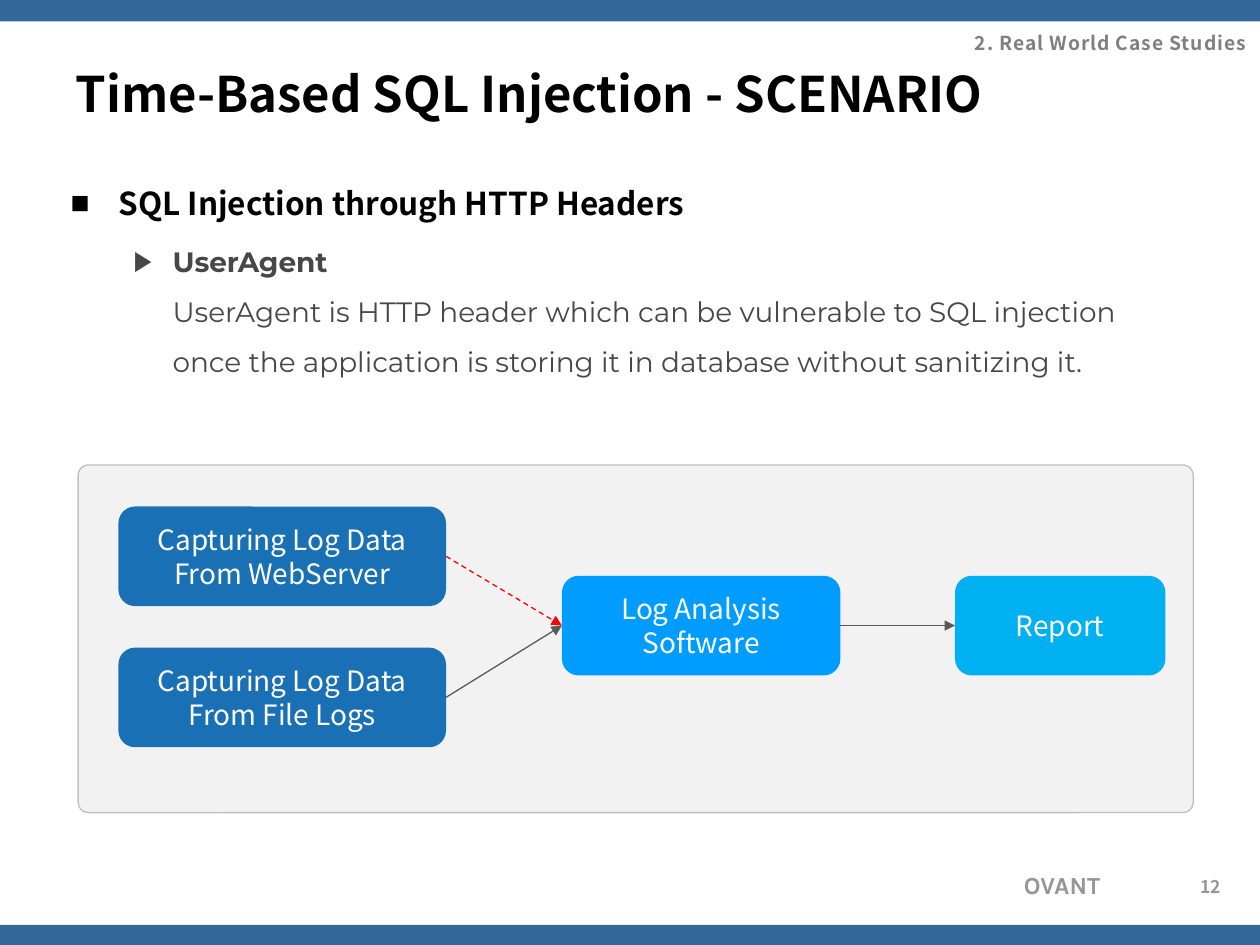
from dataclasses import dataclass

from lxml.etree import SubElement
from pptx import Presentation
from pptx.dml.color import RGBColor
from pptx.enum.dml import MSO_LINE_DASH_STYLE as Dash
from pptx.enum.shapes import MSO_CONNECTOR, MSO_SHAPE
from pptx.enum.text import MSO_ANCHOR, MSO_AUTO_SIZE, PP_ALIGN
from pptx.oxml.ns import qn
from pptx.util import Inches, Pt

SANS = "Noto Sans CJK KR"
BOX_HEIGHT = 0.79
LEFT_SITE, RIGHT_SITE = 1, 3


@dataclass(frozen=True)
class Step:
    name: str
    lines: tuple[str, ...]
    left: float
    top: float
    width: float
    fill: str


@dataclass(frozen=True)
class Flow:
    source: str
    target: str
    color: str
    dashed: bool = False


@dataclass(frozen=True)
class Label:
    text: str
    bounds: tuple[float, float, float, float]
    size: float
    color: str
    align: PP_ALIGN
    font: str = SANS
    wrap: bool = True
    spacing: float = 0


STEPS = [
    Step("server", ("Capturing Log Data", "From WebServer"), 0.94, 4.02, 2.6, "1970B4"),
    Step("files", ("Capturing Log Data", "From File Logs"), 0.94, 5.14, 2.6, "1970B4"),
    Step("analysis", ("Log Analysis Software",), 4.46, 4.57, 2.21, "009CFF"),
    Step("report", ("Report",), 7.58, 4.57, 1.67, "00B0F0"),
]
FLOWS = [
    Flow("server", "analysis", "FF0000", dashed=True),
    Flow("files", "analysis", "595959"),
    Flow("analysis", "report", "595959"),
]
LABELS = [
    Label("OVANT", (6.22, 6.86, 2.61, 0.33), 14, "969696", PP_ALIGN.RIGHT, font="Karla"),
    Label("12", (9.39, 6.9, 0.44, 0.25), 10, "969696", PP_ALIGN.CENTER),
    Label("2. Real World Case Studies", (7.62, 0.2, 2.37, 0.29), 11, "808080",
          PP_ALIGN.RIGHT, wrap=False, spacing=0.5),
]


def rgb(value: str) -> RGBColor:
    return RGBColor.from_string(value)


def set_font(paragraph, size: float, color: str, bold: bool = False, name: str = SANS) -> None:
    font = paragraph.font
    font.name, font.size, font.bold = name, Pt(size), bold
    font.color.rgb = rgb(color)


def place(shape, left: float, top: float, width: float, height: float) -> None:
    shape.left, shape.top = Inches(left), Inches(top)
    shape.width, shape.height = Inches(width), Inches(height)


def add_block(slide, kind, bounds: tuple, fill: str, line: str | None = None):
    shape = slide.shapes.add_shape(kind, *map(Inches, bounds))
    shape.shadow.inherit = False
    shape.fill.solid()
    shape.fill.fore_color.rgb = rgb(fill)
    if line:
        shape.line.color.rgb = rgb(line)
        shape.line.width = Pt(0.75)
    else:
        shape.line.fill.background()
    return shape


def add_label(slide, label: Label) -> None:
    frame = slide.shapes.add_textbox(*map(Inches, label.bounds)).text_frame
    frame.word_wrap = label.wrap
    paragraph = frame.paragraphs[0]
    run = paragraph.add_run()
    run.text = label.text
    paragraph.alignment = label.align
    set_font(paragraph, label.size, label.color, True, label.font)
    if label.spacing:
        run._r.get_or_add_rPr().set("spc", str(int(label.spacing * 100)))


def add_step(slide, step: Step):
    bounds = (step.left, step.top, step.width, BOX_HEIGHT)
    shape = add_block(slide, MSO_SHAPE.ROUNDED_RECTANGLE, bounds, step.fill)
    frame = shape.text_frame
    frame.text = "\n".join(step.lines)
    frame.vertical_anchor = MSO_ANCHOR.MIDDLE
    for paragraph in frame.paragraphs:
        paragraph.alignment = PP_ALIGN.CENTER
        set_font(paragraph, 16, "FFFFFF")
    return shape


def add_flow(slide, flow: Flow, boxes: dict) -> None:
    connector = slide.shapes.add_connector(MSO_CONNECTOR.STRAIGHT, 0, 0, 0, 0)
    connector.begin_connect(boxes[flow.source], RIGHT_SITE)
    connector.end_connect(boxes[flow.target], LEFT_SITE)
    connector.line.color.rgb = rgb(flow.color)
    connector.line.width = Pt(0.75)
    if flow.dashed:
        connector.line.dash_style = Dash.DASH
    SubElement(connector.line._get_or_add_ln(), qn("a:tailEnd"), type="triangle")
    SubElement(connector._element.spPr, qn("a:effectLst"))


def format_bullet(paragraph, bullet: str, margin: float, indent: float, before: float) -> None:
    paragraph.line_spacing = 1.5
    paragraph.space_before = Pt(before)
    properties = paragraph._p.get_or_add_pPr()
    properties.set("marL", str(Inches(margin)))
    properties.set("indent", str(Inches(indent)))
    mark = SubElement(properties, qn("a:buChar"), char=bullet)
    default_font = properties.find(qn("a:defRPr"))
    if default_font is not None:
        default_font.addprevious(mark)


def fill_title(title) -> None:
    place(title, 0.5, 0.3, 9, 0.87)
    frame = title.text_frame
    frame.text = "Time-Based SQL Injection - SCENARIO"
    frame.auto_size = MSO_AUTO_SIZE.NONE
    frame.vertical_anchor = MSO_ANCHOR.MIDDLE
    frame.paragraphs[0].alignment = PP_ALIGN.LEFT
    set_font(frame.paragraphs[0], 28, "000000", True)


def fill_body(body) -> None:
    place(body, 0.46, 1.26, 9, 5.54)
    frame = body.text_frame
    frame.auto_size = MSO_AUTO_SIZE.NONE
    heading = frame.paragraphs[0]
    heading.text = "SQL Injection through HTTP Headers"
    set_font(heading, 18, "000000", True)
    format_bullet(heading, "■", 0.38, -0.38, 3.6)

    detail = frame.add_paragraph()
    detail.level = 1
    detail.add_run().text = "UserAgent"
    detail.add_line_break()
    explanation = detail.add_run()
    explanation.text = ("UserAgent is HTTP header which can be vulnerable to SQL injection "
                        "once the application is storing it in database without sanitizing it.")
    explanation.font.bold = False
    set_font(detail, 16, "474747", True, "Montserrat")
    format_bullet(detail, "▶", 0.81, -0.31, 3.2)


def main() -> None:
    presentation = Presentation()
    presentation.slide_width, presentation.slide_height = Inches(10), Inches(7.5)
    slide = presentation.slides.add_slide(presentation.slide_layouts[1])
    fill_title(slide.shapes.title)
    fill_body(slide.placeholders[1])
    for top in (0, 7.34):
        add_block(slide, MSO_SHAPE.RECTANGLE, (0, top, 10, 0.17), "336699")
    for label in LABELS:
        add_label(slide, label)
    panel = add_block(slide, MSO_SHAPE.ROUNDED_RECTANGLE, (0.62, 3.69, 8.85, 2.76),
                      "F2F2F2", "BFBFBF")
    panel.adjustments[0] = 0.03
    boxes = {step.name: add_step(slide, step) for step in STEPS}
    for flow in FLOWS:
        add_flow(slide, flow, boxes)
    presentation.save("out.pptx")


if __name__ == "__main__":
    main()
